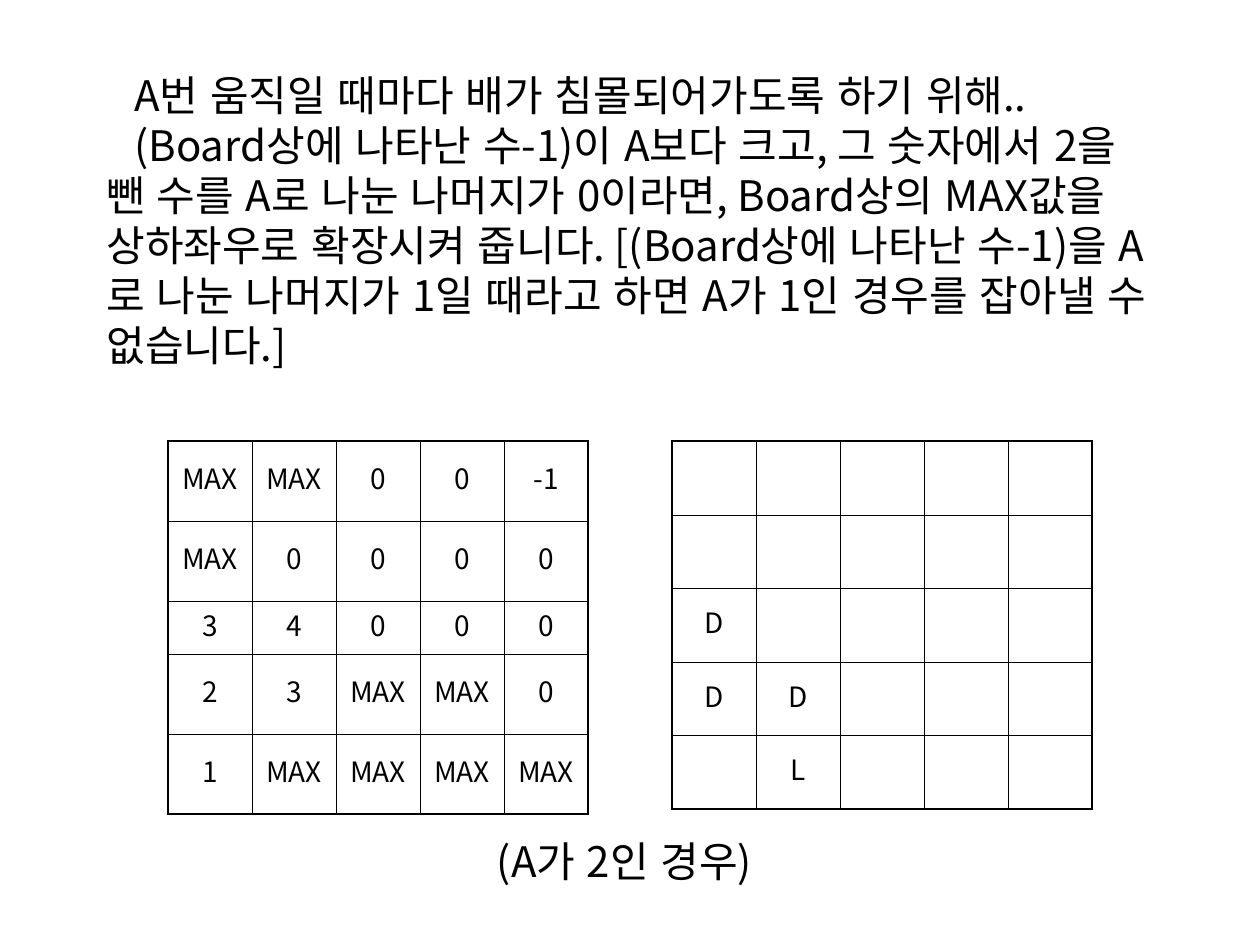
"""Build the slide that explains how ships sink, with two example boards."""
import lxml.etree
import pptx
import pptx.dml.color
import pptx.enum.lang
import pptx.enum.text
import pptx.oxml.ns
import pptx.util

PX = 914400 // 126
FONT = "Noto Sans CJK KR"
COLORS = {"ink": "000000"}
THICK, THIN = 1.08, 0.45
LEFT, CENTER = pptx.enum.text.PP_ALIGN.LEFT, pptx.enum.text.PP_ALIGN.CENTER
MIDDLE = pptx.enum.text.MSO_ANCHOR.MIDDLE
qn = pptx.oxml.ns.qn


def write(para, text, size=24, align=LEFT, line=28.6, before=0, indent=0):
    para.alignment = align
    para.line_spacing = pptx.util.Pt(line)
    para.space_before = pptx.util.Pt(before)
    if indent:
        para._p.get_or_add_pPr().set("indent", str(indent * PX))
    span = para.add_run()
    span.text = text
    span.font.size = pptx.util.Pt(size)
    span.font.name = FONT
    span.font.language_id = pptx.enum.lang.MSO_LANGUAGE_ID.KOREAN
    span.font.color.rgb = pptx.dml.color.RGBColor.from_string(COLORS["ink"])
    lxml.etree.SubElement(span.font._element, qn("a:ea"), typeface=FONT)


def add_border(cell, side, width):
    line = lxml.etree.SubElement(
        cell._tc.get_or_add_tcPr(), qn(f"a:ln{side}"), w=str(pptx.util.Pt(width)))
    fill = lxml.etree.SubElement(line, qn("a:solidFill"))
    lxml.etree.SubElement(fill, qn("a:srgbClr"), val=COLORS["ink"])


deck = pptx.Presentation()
deck.slide_width, deck.slide_height = 1260 * PX, 945 * PX
page = deck.slides.add_slide(deck.slide_layouts[6])

explanation = [
    "A번 움직일 때마다 배가 침몰되어가도록 하기 위해..",
    "(Board상에 나타난 수-1)이 A보다 크고, 그 숫자에서 2을 뺀 수를 A로 나눈 "
    "나머지가 0이라면, Board상의 MAX값을 상하좌우로 확장시켜 줍니다. "
    "[(Board상에 나타난 수-1)을 A로 나눈 나머지가 1일 때라고 하면 "
    "A가 1인 경우를 잡아낼 수 없습니다.]",
]
texts = [
    (94, 73, 1081, 294, explanation, {"indent": 28}),
    (84, 829, 1081, 63, ["(A가 2인 경우)"], {"align": CENTER}),
]
for left, top, width, height, lines, style in texts:
    box = page.shapes.add_textbox(left * PX, top * PX, width * PX, height * PX)
    frame = box.text_frame
    frame.word_wrap = True
    frame.vertical_anchor = MIDDLE
    for index, text in enumerate(lines):
        para = frame.add_paragraph() if index else frame.paragraphs[0]
        write(para, text, **style)

values = [
    ["MAX", "MAX", "0", "0", "-1"],
    ["MAX", "0", "0", "0", "0"],
    ["3", "4", "0", "0", "0"],
    ["2", "3", "MAX", "MAX", "0"],
    ["1", "MAX", "MAX", "MAX", "MAX"],
]
moves = [
    ["", "", "", "", ""],
    ["", "", "", "", ""],
    ["D", "", "", "", ""],
    ["D", "D", "", "", ""],
    ["", "L", "", "", ""],
]
boards = [
    (168, values, [80, 80, 53, 80, 80]),
    (672, moves, [74, 73, 74, 73, 74]),
]
for left, rows, heights in boards:
    grid = page.shapes.add_table(
        5, 5, left * PX, 441 * PX, 420 * PX, sum(heights) * PX).table
    grid.first_row = grid.horz_banding = False
    for column in grid.columns:
        column.width = 84 * PX
    for r, (row, height) in enumerate(zip(rows, heights)):
        grid.rows[r].height = height * PX
        for c, text in enumerate(row):
            cell = grid.cell(r, c)
            cell.vertical_anchor = MIDDLE
            edges = {"L": c == 0, "R": c == 4, "T": r == 0, "B": r == 4}
            for side, outer in edges.items():
                add_border(cell, side, THICK if outer else THIN)
            cell.fill.background()
            if text:
                write(cell.text_frame.paragraphs[0], text,
                      size=16, align=CENTER, line=19, before=4)

deck.save("out.pptx")
